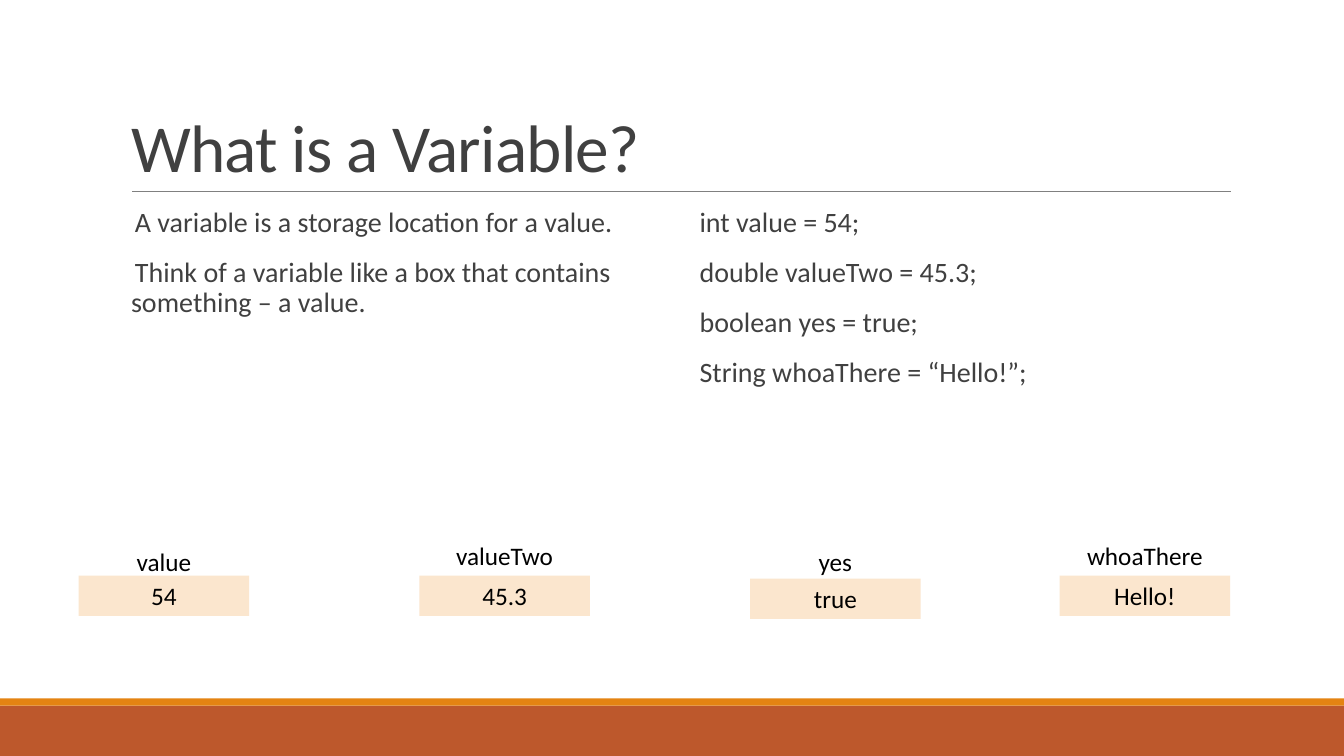
from lxml import etree
from pptx import Presentation
from pptx.dml.color import RGBColor
from pptx.enum import shapes, text
from pptx.oxml import ns
from pptx.util import Inches, Pt

RUST = RGBColor(0xBD, 0x58, 0x2C)
ORANGE = RGBColor(0xE4, 0x83, 0x12)
CREAM = RGBColor(0xFB, 0xE6, 0xCE)
GRAY = RGBColor(0x80, 0x80, 0x80)
DARK = RGBColor(0x40, 0x40, 0x40)
BLACK = RGBColor(0, 0, 0)


def add_rect(left, top, width, height, color):
    sp = slide.shapes.add_shape(shapes.MSO_SHAPE.RECTANGLE, Inches(left),
                                Inches(top), Inches(width), Inches(height))
    sp.shadow.inherit = False
    sp.fill.solid()
    sp.fill.fore_color.rgb = color
    sp.line.fill.background()
    return sp


def format_text(tf, size, color, align):
    tf.word_wrap = True
    for p in tf.paragraphs:
        p.alignment = align
        for r in p.runs:
            r.font.name = "Calibri"
            r.font.size = Pt(size)
            r.font.color.rgb = color


prs = Presentation()
prs.slide_width = Inches(13.33)
prs.slide_height = Inches(7.5)
slide = prs.slides.add_slide(prs.slide_layouts[5])

add_rect(0, 7, 13.33, 0.5, RUST)
add_rect(0, 6.93, 13.33, 0.07, ORANGE)
rule = slide.shapes.add_connector(shapes.MSO_CONNECTOR.STRAIGHT, Inches(1.31),
                                  Inches(1.9), Inches(12.21), Inches(1.9))
rule.line.color.rgb = GRAY
rule.line.width = Pt(0.5)
etree.SubElement(rule.element.spPr, ns.qn("a:effectLst"))

title = slide.shapes.title
title.left, title.top = Inches(1.2), Inches(0.31)
title.width, title.height = Inches(11), Inches(1.59)
tf = title.text_frame
tf.text = "What is a Variable?"
tf.auto_size = text.MSO_AUTO_SIZE.NONE
tf.vertical_anchor = text.MSO_ANCHOR.BOTTOM
format_text(tf, 48, DARK, text.PP_ALIGN.LEFT)
p = tf.paragraphs[0]
p.line_spacing = 0.85
p.runs[0].font._element.set("spc", "-50")

columns = [
    (1.2, 4.4, ["A variable is a storage location for a value.",
                "Think of a variable like a box that contains something – a value."]),
    (6.8, 2.34, ["int value = 54;", "double valueTwo = 45.3;",
                 "boolean yes = true;", "String whoaThere = “Hello!”;"]),
]
for left, height, lines in columns:
    body = slide.shapes.add_textbox(Inches(left), Inches(2.02), Inches(5.4), Inches(height))
    tf = body.text_frame
    tf.margin_left = tf.margin_right = 0
    tf.text = "\n".join(lines)
    format_text(tf, 20, DARK, text.PP_ALIGN.LEFT)
    for p in tf.paragraphs:
        p.line_spacing = 0.9
        p.space_before = Pt(12)
        p.space_after = Pt(2)
        pPr = p._p.get_or_add_pPr()
        pPr.set("marL", str(Inches(0.1)))
        pPr.set("indent", str(Inches(-0.1)))
        etree.SubElement(pPr, ns.qn("a:buChar"), char=" ")

variables = [
    ("value", "54", 0.78, 5.37, 5.71),
    ("valueTwo", "45.3", 4.16, 5.31, 5.71),
    ("yes", "true", 7.44, 5.37, 5.74),
    ("whoaThere", "Hello!", 10.51, 5.31, 5.71),
]
for name, value, left, name_top, box_top in variables:
    box = add_rect(left, box_top, 1.69, 0.4, CREAM)
    label = slide.shapes.add_textbox(Inches(left), Inches(name_top), Inches(1.69), Inches(0.4))
    for sp, words in ((box, value), (label, name)):
        tf = sp.text_frame
        tf.text = words
        tf.vertical_anchor = text.MSO_ANCHOR.TOP
        format_text(tf, 18, BLACK, text.PP_ALIGN.CENTER)

prs.save("out.pptx")
